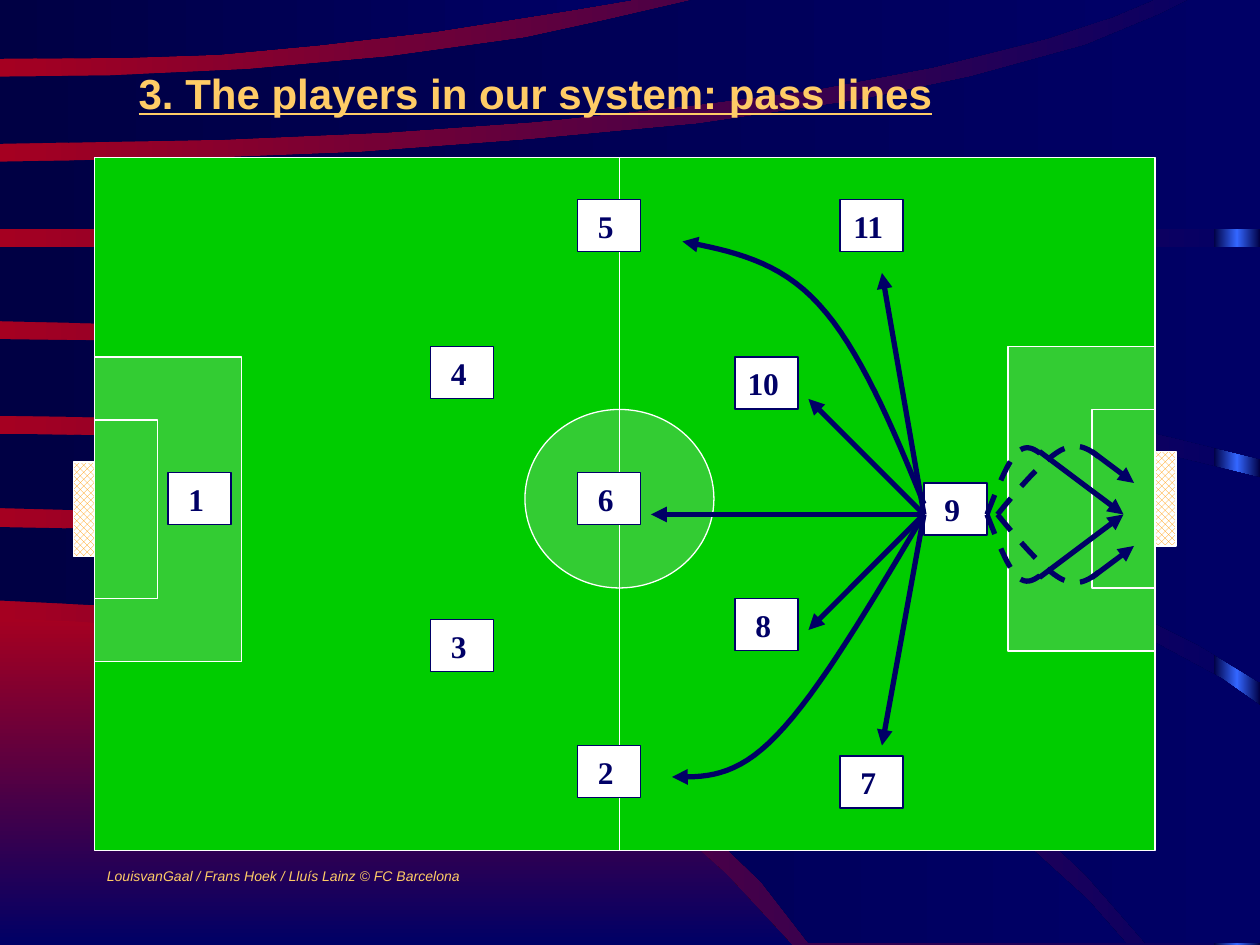
from copy import deepcopy

from lxml import etree
from pptx import Presentation
from pptx.dml.color import RGBColor
from pptx.enum.dml import MSO_LINE, MSO_PATTERN
from pptx.enum.shapes import MSO_CONNECTOR, MSO_SHAPE
from pptx.enum.text import MSO_ANCHOR, PP_ALIGN
from pptx.oxml.ns import qn
from pptx.util import Cm, Pt

RECT, OVAL = MSO_SHAPE.RECTANGLE, MSO_SHAPE.OVAL
STRAIGHT = MSO_CONNECTOR.STRAIGHT
DIAMONDS = MSO_PATTERN.OUTLINED_DIAMOND
DASH = MSO_LINE.DASH
MIDDLE = MSO_ANCHOR.MIDDLE
CENTER, LEFT = PP_ALIGN.CENTER, PP_ALIGN.LEFT

NAVY, NIGHT, RED, BLUE = "000066", "000044", "A50021", "3366FF"
GOLD, WHITE, ORANGE = "FFCC66", "FFFFFF", "FF9900"
GRASS, LIGHT_GRASS = "00CC00", "33CC33"

# The slide is laid out on a grid of 120 by 90 squares
COLUMNS, ROWS = 120, 90
PITCH = (9, 15, 101, 66)

# Outlines of the background, in grid squares
GLOW = [(0, 58.9), (7.3, 59.2), (16.7, 60), (26.2, 61.7), (36.6, 64.6), (46.3, 68.2),
        (55.4, 72.7), (63.4, 78.1), (69.2, 83.3), (75.4, 90), (0, 90)]
BANDS = [
    [(0, 50.2), (10.4, 50.4), (19.9, 51.1), (29.9, 52.4), (40.2, 54.2), (56.6, 58.6),
     (67.3, 62.4), (77.3, 66.8), (87.2, 72.4), (96.2, 79), (103.6, 85.7), (107.2, 89.8),
     (77, 89.8), (72.5, 84), (66.4, 78.1), (59, 73), (49.9, 67.8), (41, 64.2),
     (32.2, 61.3), (22.2, 59.2), (12.6, 57.8), (0, 57.2)],
    [(0, 41.3), (11.6, 41.5), (23.4, 42), (34.7, 43), (46.1, 44.2), (56.9, 45.7),
     (68.4, 47.8), (78.7, 50.2), (88.6, 52.8), (98.2, 56), (108.5, 60.4), (116.3, 64.6),
     (120, 67.2), (120, 89.8), (109.1, 89.8), (103.4, 83.3), (97.2, 77.5), (90.7, 72.7),
     (81.4, 67), (71.6, 62.3), (62.5, 58.7), (53, 55.6), (43.2, 53.2), (32, 51),
     (22, 49.6), (11.6, 48.7), (0, 48.4)],
    [(0, 32.3), (14.9, 32.5), (31.8, 33.1), (47.9, 34.1), (62.8, 35.5), (79.4, 37.6),
     (97.9, 40.6), (108.6, 42.7), (120, 45.5), (120, 65), (114.1, 61.4), (105.7, 57.2),
     (93.8, 52.7), (85.3, 50.2), (73.2, 47), (61.4, 44.8), (48.7, 42.8), (36.4, 41.4),
     (25.3, 40.4), (13.1, 39.8), (0, 39.6)],
    [(0, 23.5), (120, 23.5), (120, 43.7), (109.8, 41.2), (97.6, 38.6), (84.2, 36.4),
     (72.8, 34.8), (60.2, 33.5), (46.7, 32.3), (33.4, 31.4), (22.3, 31.1), (0, 30.6)],
    [(0, 15.4), (18.8, 15.1), (34.3, 14.5), (50.4, 13.3), (66.5, 11.8), (82.1, 9.5),
     (92.5, 7.3), (103.4, 4.3), (110.4, 1.4), (113.2, 0), (120, 0), (120, 21.8), (0, 21.8)],
    [(0, 7.3), (10.4, 7.2), (23.6, 6.6), (37, 5.4), (50, 3.6), (57.8, 1.9), (66, 0),
     (109.8, 0), (106, 1.6), (99.6, 3.7), (88.9, 6.4), (77.8, 8.5), (65.4, 10.1),
     (51, 11.6), (37, 12.6), (21.2, 13.3), (0, 13.7)],
    [(0, 0), (60.1, 0), (54.2, 1), (41.5, 3), (30.4, 4.3), (20.8, 5.2), (12.1, 5.5), (0, 5.6)],
]

# Places on the pitch, in grid squares from its top left corner
MARKINGS = [(RECT, 0, 19, 14, 29), (RECT, 87, 18, 14, 29), (RECT, 0, 25, 6, 17),
            (RECT, 95, 24, 6, 17), (OVAL, 41, 24, 18, 17)]
GOALS = [(-2, 29, 2, 9), (101, 28, 2, 9)]
PLAYERS = {8: (61, 42), 9: (79, 31), 6: (46, 30), 10: (61, 19), 4: (32, 18), 3: (32, 44),
           1: (7, 30), 7: (71, 57), 2: (46, 56), 5: (46, 4), 11: (71, 4)}
STRIKER = (79, 34)
PASSES = [(68, 45), (68, 23), (75, 11), (75, 56), (53, 34)]
CURVED_PASSES = [
    [(79, 33), (76, 25.6), (72.8, 18.1), (69, 14), (65.2, 9.8), (60.6, 8.9), (56, 8)],
    [(79, 34), (74, 42.4), (69, 50.9), (65, 55), (61, 59.2), (58, 59), (55, 59)],
]
# Runs and shots above the striker's axis; they are mirrored below it
RUNS = [
    [(85, 34), (86, 31.5), (87, 28.8), (88, 28), (89, 27.1), (90, 28.1), (91, 29)],
    [(86, 34), (88.2, 31.3), (90.4, 28.8), (92, 27.9), (93.7, 27), (94.8, 27.8), (96, 28.8)],
]
SHOTS = [[(90, 28), (98, 34)], [(95, 28), (99, 31)]]


def grid(*squares):
    return [Cm(n * 25.4 / COLUMNS) for n in squares]


def rgb(value):
    return RGBColor.from_string(value)


def paint_gradient(fill, colors, angle=0):
    fill.gradient()
    fill.gradient_angle = angle
    stop_list = fill.gradient_stops[0]._gs.getparent()
    for _ in colors[2:]:
        stop_list.append(deepcopy(stop_list[-1]))
    for i, (stop, color) in enumerate(zip(fill.gradient_stops, colors)):
        stop.color.rgb = rgb(color)
        stop.position = i / (len(colors) - 1)


def draw_line(line, color, width, dash=None, arrow=False):
    line.color.rgb = rgb(color)
    line.width = Pt(width)
    if dash:
        line.dash_style = dash
    if arrow:
        etree.SubElement(line._get_or_add_ln(), qn("a:tailEnd"), type="triangle")


def add_block(slide, kind, box, fill=None, outline=None):
    block = slide.shapes.add_shape(kind, *grid(*box))
    block.shadow.inherit = False
    if fill:
        block.fill.solid()
        block.fill.fore_color.rgb = rgb(fill)
    if outline:
        draw_line(block.line, outline, 0.75)
    else:
        block.line.fill.background()
    return block


def add_outline(slide, points, close):
    corners = [grid(*point) for point in points]
    builder = slide.shapes.build_freeform(*corners[0])
    builder.add_line_segments(corners[1:], close=close)
    outline = builder.convert_to_shape()
    outline.shadow.inherit = False
    return outline


def add_straight(slide, start, end, color, width, arrow=False):
    straight = slide.shapes.add_connector(STRAIGHT, *grid(*start, *end))
    draw_line(straight.line, color, width, arrow=arrow)
    etree.SubElement(straight._element.spPr, qn("a:effectLst"))


def add_curve(slide, points, dash=None, arrow=False):
    """Draw joined cubic curves through every third point."""
    track, steps = [points[0]], 16
    for i in range(0, len(points) - 1, 3):
        for t in (n / steps for n in range(1, steps + 1)):
            weights = ((1 - t) ** 3, 3 * t * (1 - t) ** 2, 3 * t * t * (1 - t), t ** 3)
            track.append([sum(w * p[axis] for w, p in zip(weights, points[i:i + 4]))
                          for axis in (0, 1)])
    curve = add_outline(slide, track, close=False)
    curve.fill.background()
    draw_line(curve.line, NAVY, 3, dash, arrow)


def write(shape, text, color, align, frame_format, **font_format):
    frame = shape.text_frame
    for name, value in frame_format.items():
        setattr(frame, name, value)
    paragraph = frame.paragraphs[0]
    paragraph.alignment = align
    run = paragraph.add_run()
    run.text = text
    run.font.color.rgb = rgb(color)
    for name, value in font_format.items():
        setattr(run.font, name, value)


def draw_background(slide, box):
    left, top, width, height = box
    paint_gradient(slide.background.fill, [RED, NAVY])
    strip = add_block(slide, RECT, (left + width - 4.4, top, 4.4, height))
    paint_gradient(strip.fill, [NIGHT, BLUE, NIGHT])
    layers = [(GLOW, [RED, NAVY], 270)] + [(band, [NIGHT, NAVY], 0) for band in BANDS]
    for points, colors, angle in layers:
        layer = add_outline(slide, [(left + x, top + y) for x, y in points], close=True)
        layer.line.fill.background()
        paint_gradient(layer.fill, colors, angle)


def draw_pitch(slide, box):
    left, top, width, height = box
    add_block(slide, RECT, box, GRASS, WHITE)
    for kind, x, y, w, h in MARKINGS:
        add_block(slide, kind, (left + x, top + y, w, h), LIGHT_GRASS, WHITE)
    add_straight(slide, (left + 50, top), (left + 50, top + height), WHITE, 0.75)
    for x, y, w, h in GOALS:
        goal = add_block(slide, RECT, (left + x, top + y, w, h), outline=WHITE)
        goal.fill.patterned()
        goal.fill.pattern = DIAMONDS
        goal.fill.fore_color.rgb = rgb(ORANGE)
        goal.fill.back_color.rgb = rgb(WHITE)


def draw_players(slide, box):
    # The right margin sets the numbers a little left of the middle
    frame_format = dict(word_wrap=True, vertical_anchor=MIDDLE, margin_left=0, margin_right=Cm(0.13))
    for number, (x, y) in PLAYERS.items():
        player = add_block(slide, RECT, (box[0] + x, box[1] + y, 6, 4.95), WHITE, NAVY)
        write(player, str(number), NAVY, CENTER, frame_format,
              name="Times New Roman", size=Pt(18), bold=True)


def draw_moves(slide, box):
    def place(points, mirrored=False):
        return [(box[0] + x, box[1] + (2 * STRIKER[1] - y if mirrored else y)) for x, y in points]

    for target in PASSES:
        add_straight(slide, *place([STRIKER, target]), NAVY, 3, arrow=True)
    for mirrored in (False, True):
        for run, shot in zip(RUNS, SHOTS):
            add_curve(slide, place(run, mirrored), dash=DASH)
            add_straight(slide, *place(shot, mirrored), NAVY, 3, arrow=True)
    for curved_pass in CURVED_PASSES:
        add_curve(slide, place(curved_pass), arrow=True)


def draw_texts(slide, box):
    left, top, width, height = box
    credit = slide.shapes.add_textbox(*grid(left + 9, top + height - 8, 36.5, 2.8))
    write(credit, "LouisvanGaal / Frans Hoek / Lluís Lainz © FC Barcelona", GOLD, LEFT,
          dict(word_wrap=False), name="Arial", size=Pt(8), italic=True)
    title = slide.shapes.add_textbox(*grid(left, top + 5.3, 102, 7))
    write(title, "3. The players in our system: pass lines", GOLD, CENTER,
          dict(word_wrap=True, vertical_anchor=MIDDLE),
          name="Arial", size=Pt(24), bold=True, underline=True)


def main():
    deck = Presentation()
    deck.slide_width, deck.slide_height = grid(COLUMNS, ROWS)
    slide = deck.slides.add_slide(deck.slide_layouts[6])
    page = (0, 0, COLUMNS, ROWS)
    draw_background(slide, page)
    draw_pitch(slide, PITCH)
    draw_players(slide, PITCH)
    draw_texts(slide, page)
    draw_moves(slide, PITCH)
    deck.save("out.pptx")


if __name__ == "__main__":
    main()
